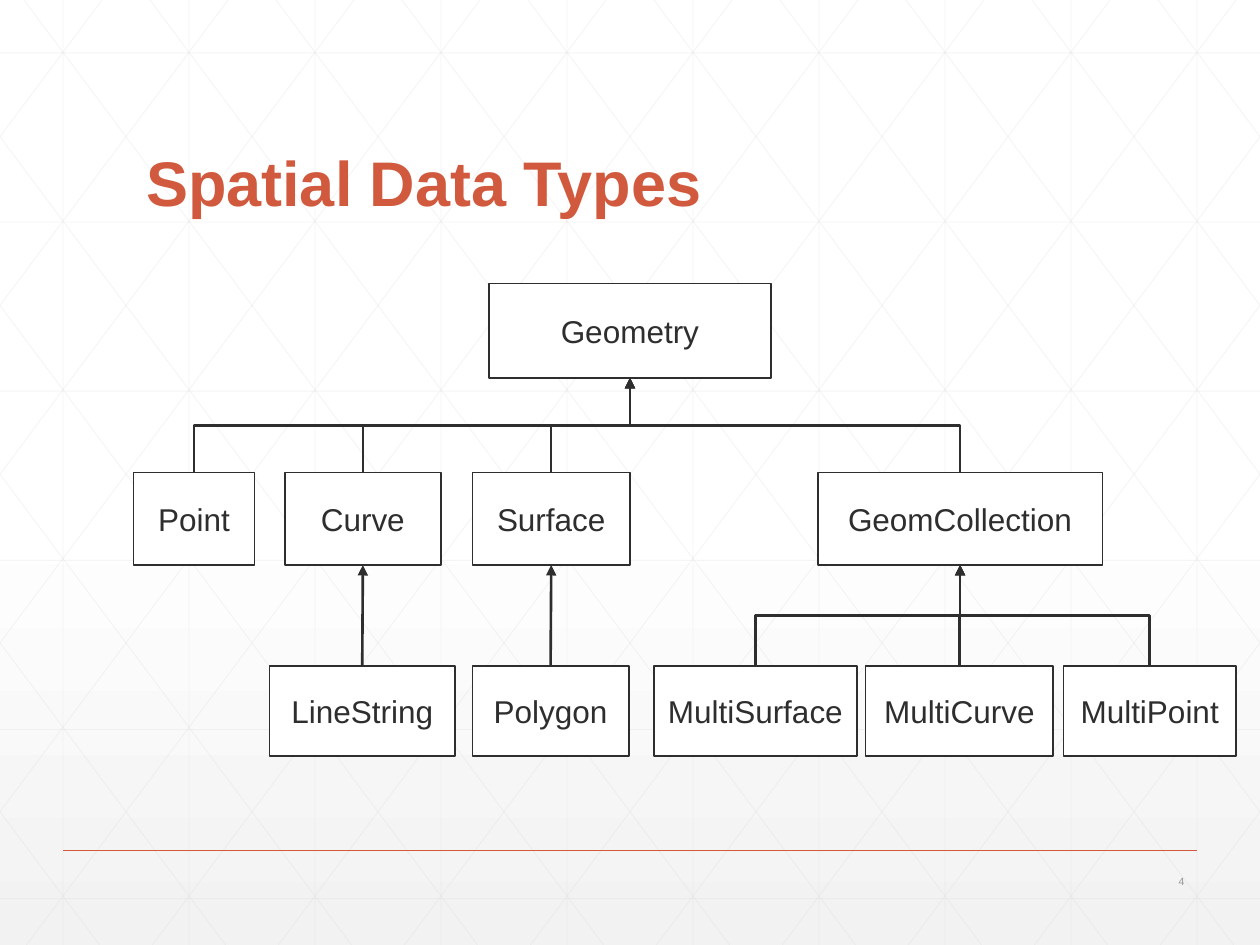
from collections import Counter, namedtuple

from lxml import etree
from pptx import Presentation
from pptx.dml.color import RGBColor
from pptx.enum.shapes import MSO_CONNECTOR, MSO_SHAPE
from pptx.enum.text import MSO_ANCHOR, MSO_AUTO_SIZE, PP_ALIGN
from pptx.oxml.ns import qn
from pptx.util import Inches, Pt

STRAIGHT, ELBOW = MSO_CONNECTOR.STRAIGHT, MSO_CONNECTOR.ELBOW
RECTANGLE = MSO_SHAPE.RECTANGLE
LEFT, CENTER, RIGHT = PP_ALIGN.LEFT, PP_ALIGN.CENTER, PP_ALIGN.RIGHT
MIDDLE, BOTTOM = MSO_ANCHOR.MIDDLE, MSO_ANCHOR.BOTTOM
NO_AUTOFIT = MSO_AUTO_SIZE.NONE
TOP_SIDE, BOTTOM_SIDE = 0, 2

COLORS = {
    "accent": "D15A3E",
    "ink": "2D2E2D",
    "paper": "FFFFFF",
    "shade": "F2F2F2",
    "grid": "D9D9D9",
    "number": "959795",
}
FONT = "Arial"
COL, ROW = Inches(1), Inches(0.75)
COLS = ROWS = 10

Box = namedtuple("Box", "left top width height")

TIERS = [(0, 1), (2, 0.98), (4.05, 0.95)]
TYPES = [
    ("Geometry", None, 0, 2.82, 2.24),
    ("Point", "Geometry", 1, 0, 0.96),
    ("Curve", "Geometry", 1, 1.2, 1.24),
    ("Surface", "Geometry", 1, 2.69, 1.25),
    ("GeomCollection", "Geometry", 1, 5.43, 2.26),
    ("LineString", "Curve", 2, 1.08, 1.47),
    ("Polygon", "Surface", 2, 2.69, 1.24),
    ("MultiSurface", "GeomCollection", 2, 4.13, 1.61),
    ("MultiCurve", "GeomCollection", 2, 5.81, 1.49),
    ("MultiPoint", "GeomCollection", 2, 7.38, 1.37),
]


def color(name):
    return RGBColor.from_string(COLORS[name])


def cells(col, row, cols, rows):
    return Box(round(col * COL), round(row * ROW), round(cols * COL), round(rows * ROW))


def write(shape, text, size, ink, align, anchor, bold=False):
    frame = shape.text_frame
    frame.text = text
    frame.vertical_anchor = anchor
    frame.auto_size = NO_AUTOFIT
    paragraph = frame.paragraphs[0]
    paragraph.alignment = align
    font = paragraph.runs[0].font
    font.name, font.size, font.bold = FONT, Pt(size), bold
    font.color.rgb = color(ink)


def style_line(connector, ink, width):
    connector.line.color.rgb = color(ink)
    connector.line.width = Pt(width)
    properties = connector._element.spPr
    etree.SubElement(properties, qn("a:effectLst"))
    return properties.find(qn("a:ln"))


def paint_background(slide):
    fill = slide.background.fill
    fill.gradient()
    fill.gradient_angle = 270
    stops = slide._element.find(".//" + qn("a:gsLst"))
    for stop in list(stops):
        stops.remove(stop)
    for position, name, alpha in [(0, "paper", 100), (53, "paper", 100), (100, "shade", 65)]:
        stop = etree.SubElement(stops, qn("a:gs"), pos=str(position * 1000))
        tint = etree.SubElement(stop, qn("a:srgbClr"), val=COLORS[name])
        if alpha < 100:
            etree.SubElement(tint, qn("a:alpha"), val=str(alpha * 1000))


def draw_lattice(slide, box):
    lattice = slide.shapes.add_group_shape()
    lines = [(i + 0.5, 0, i + 0.5, ROWS) for i in range(COLS)]
    lines += [(0, 0.56 + 1.79 * i, COLS, 0.56 + 1.79 * i) for i in range(6)]
    run = 5.6
    slope = ROWS / run
    for i in range(-5, COLS):
        start = i + 0.19
        x1, x2 = max(0, start), min(COLS, start + run)
        y1, y2 = (x1 - start) * slope, (x2 - start) * slope
        lines += [(x1, y1, x2, y2), (COLS - x1, y1, COLS - x2, y2)]
    for x1, y1, x2, y2 in lines:
        line = lattice.shapes.add_connector(
            STRAIGHT,
            round(box.left + x1 * box.width / COLS),
            round(box.top + y1 * box.height / ROWS),
            round(box.left + x2 * box.width / COLS),
            round(box.top + y2 * box.height / ROWS),
        )
        outline = style_line(line, "grid", 0.5)
        etree.SubElement(outline.find(".//" + qn("a:srgbClr")), qn("a:alpha"), val="25000")


def place_title(slide, box):
    title = slide.shapes.title
    slide.shapes._spTree.append(title._element)
    title.left, title.top, title.width, title.height = box
    write(title, "Spatial Data Types", 36, "accent", LEFT, BOTTOM, bold=True)
    title.text_frame.paragraphs[0].line_spacing = 0.9


def draw_footer(slide, box):
    rule = slide.shapes.add_connector(
        STRAIGHT, box.left, box.top, box.left + box.width, box.top
    )
    style_line(rule, "accent", 1)
    number_width = round(box.width / 12)
    number = slide.shapes.add_textbox(
        box.left + box.width - number_width,
        box.top + box.height // 3,
        number_width,
        box.height * 2 // 3,
    )
    number.text_frame.word_wrap = True
    write(number, "4", 6, "number", RIGHT, MIDDLE)


def draw_type(slide, name, box):
    node = slide.shapes.add_shape(RECTANGLE, *box)
    node.shadow.inherit = False
    node.fill.solid()
    node.fill.fore_color.rgb = color("paper")
    node.line.color.rgb = color("ink")
    node.line.width = Pt(1)
    write(node, name, 18, "ink", CENTER, MIDDLE)
    node.text_frame.word_wrap = False
    return node


def turn_upward(link):
    x1, y1, x2, y2 = link.begin_x, link.begin_y, link.end_x, link.end_y
    rise, reach = y1 - y2, abs(x2 - x1)
    link.left, link.top = (x1 + x2 - rise) // 2, (y1 + y2 - reach) // 2
    link.width, link.height = rise, reach
    frame = link._element.spPr.find(qn("a:xfrm"))
    from_left = x1 <= x2
    frame.set("rot", "5400000" if from_left else "16200000")
    frame.set("flipH", "1" if from_left else "0")
    frame.set("flipV", "1")


def link_types(slide, child, parent, kind):
    link = slide.shapes.add_connector(kind, 0, 0, 0, 0)
    link.begin_connect(child, TOP_SIDE)
    link.end_connect(parent, BOTTOM_SIDE)
    if kind == ELBOW:
        turn_upward(link)
    outline = style_line(link, "ink", 1.5)
    etree.SubElement(outline, qn("a:tailEnd"), type="triangle")


def draw_hierarchy(slide, box):
    nodes = {}
    for name, _, tier, col, cols in TYPES:
        row, rows = TIERS[tier]
        place = cells(col, row, cols, rows)
        nodes[name] = draw_type(
            slide, name, place._replace(left=box.left + place.left, top=box.top + place.top)
        )
    children = Counter(parent for _, parent, *_ in TYPES)
    for name, parent, *_ in TYPES:
        if parent:
            kind = STRAIGHT if children[parent] == 1 else ELBOW
            link_types(slide, nodes[name], nodes[parent], kind)


def main():
    deck = Presentation()
    deck.slide_width, deck.slide_height = COLS * COL, ROWS * ROW
    slide = deck.slides.add_slide(deck.slide_layouts[5])
    paint_background(slide)
    draw_lattice(slide, cells(0, 0, COLS, ROWS))
    place_title(slide, cells(1.06, 0.73, 7.88, 1.67))
    draw_footer(slide, cells(0.5, 9, 9, 0.49))
    draw_hierarchy(slide, cells(1.06, 3, 8.75, 5))
    deck.save("out.pptx")


if __name__ == "__main__":
    main()
